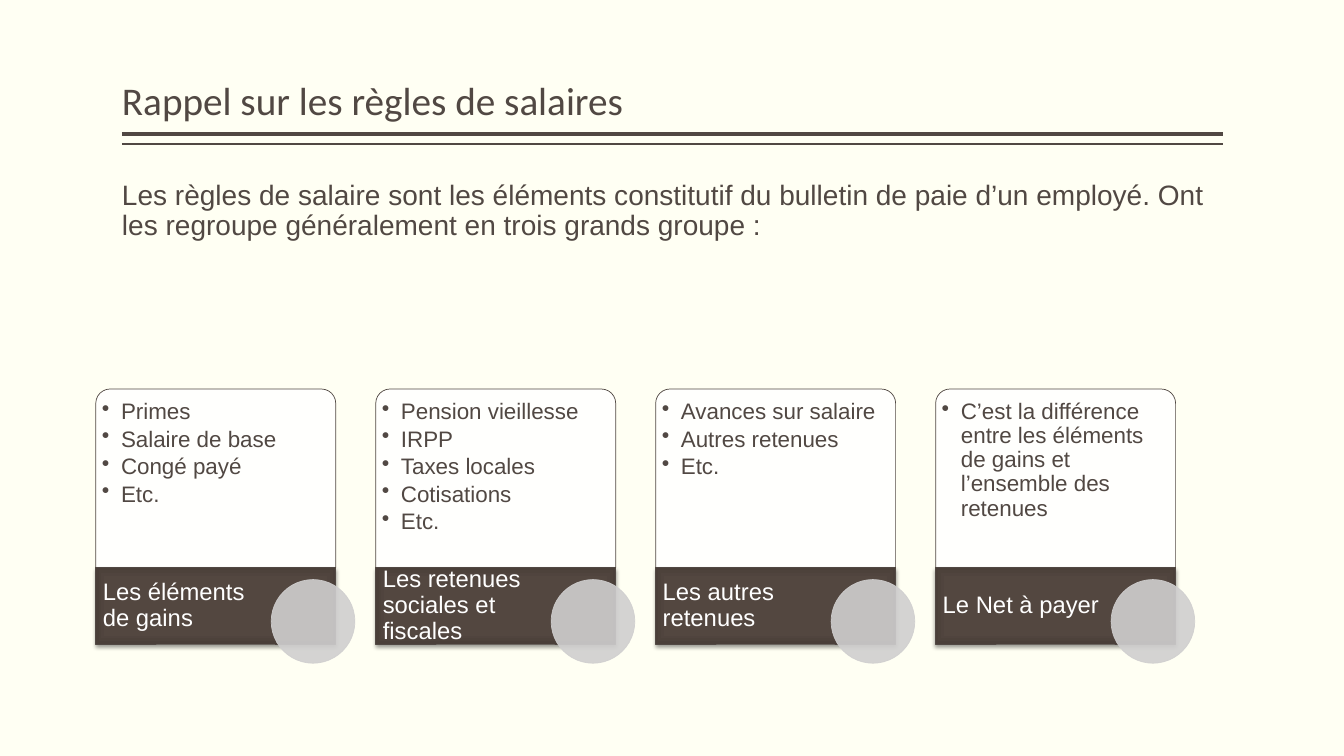
from lxml import etree
from pptx import Presentation
from pptx.dml.color import RGBColor
from pptx.enum.shapes import MSO_CONNECTOR, MSO_SHAPE
from pptx.enum.text import MSO_ANCHOR
from pptx.oxml import parse_xml
from pptx.oxml.ns import nsdecls, qn
from pptx.util import Inches, Pt

STRAIGHT = MSO_CONNECTOR.STRAIGHT
ROUNDED_TOP = MSO_SHAPE.ROUND_2_SAME_RECTANGLE
RECTANGLE = MSO_SHAPE.RECTANGLE
OVAL = MSO_SHAPE.OVAL
TOP, MIDDLE, BOTTOM = MSO_ANCHOR.TOP, MSO_ANCHOR.MIDDLE, MSO_ANCHOR.BOTTOM

CREAM = RGBColor(0xFF, 0xFF, 0xF3)
BROWN = RGBColor(0x51, 0x48, 0x43)
WHITE = RGBColor(0xFF, 0xFF, 0xFF)
GREY = RGBColor(0xD0, 0xCF, 0xCF)
BAND_STOPS = [(0, "544740"), (71, "534740"), (100, "4A3F39")]

MARGIN, CONTENT_WIDTH = 1.21, 10.92
FIRST_CARD, LAST_CARD, CARD_WIDTH = 0.95, 9.28, 2.38
CARD_TOP, CARD_HEIGHT, BAND_HEIGHT = 3.86, 1.77, 0.76

SALARY_GROUPS = [
    ("Les éléments de gains", ["Primes", "Salaire de base", "Congé payé", "Etc."]),
    ("Les retenues sociales et fiscales",
     ["Pension vieillesse", "IRPP", "Taxes locales", "Cotisations", "Etc."]),
    ("Les autres retenues", ["Avances sur salaire", "Autres retenues", "Etc."]),
    ("Le Net à payer",
     ["C’est la différence entre les éléments de gains et l’ensemble des retenues"]),
]


class SlideBuilder:
    def __init__(self, slide, color=BROWN, font="Arial"):
        self.slide, self.color, self.font = slide, color, font
        slide.background.fill.solid()
        slide.background.fill.fore_color.rgb = CREAM

    def rule(self, y, weight):
        line = self.slide.shapes.add_connector(
            STRAIGHT, Inches(MARGIN), Inches(y), Inches(MARGIN + CONTENT_WIDTH), Inches(y))
        line.line.color.rgb = self.color
        line.line.width = Pt(weight)
        etree.SubElement(line._element.spPr, qn("a:effectLst"))

    def text(self, box, paragraphs, size, insets, anchor=TOP, color=None, font=None,
             bullets=False):
        frame = self.slide.shapes.add_textbox(*map(Inches, box)).text_frame
        frame.word_wrap = True
        frame.vertical_anchor = anchor
        (frame.margin_left, frame.margin_top,
         frame.margin_right, frame.margin_bottom) = map(Inches, insets)
        for index, wording in enumerate(paragraphs):
            paragraph = frame.add_paragraph() if index else frame.paragraphs[0]
            paragraph.line_spacing = 0.9
            if bullets:
                self.bullet(paragraph)
            run = paragraph.add_run()
            run.text = wording
            run.font.size = Pt(size)
            run.font.name = font or self.font
            run.font.color.rgb = color or self.color

    def bullet(self, paragraph):
        paragraph.space_after = Pt(2.4)
        properties = paragraph._p.get_or_add_pPr()
        properties.set("marL", str(Inches(0.19)))
        properties.set("indent", str(-Inches(0.19)))
        etree.SubElement(properties, qn("a:buChar")).set("char", "•")

    def shape(self, kind, box, fill, line, fill_alpha=100, line_alpha=100):
        """Add a preset shape; alphas are opacity percentages."""
        shape = self.slide.shapes.add_shape(kind, *map(Inches, box))
        shape.shadow.inherit = False
        shape.fill.solid()
        shape.fill.fore_color.rgb = fill
        shape.line.color.rgb = line
        shape.line.width = Pt(0.5)
        properties = shape._element.spPr
        for parent, alpha in ((properties, fill_alpha), (properties.find(qn("a:ln")), line_alpha)):
            if alpha < 100:
                color = parent.find(qn("a:solidFill")).find(qn("a:srgbClr"))
                etree.SubElement(color, qn("a:alpha")).set("val", str(alpha * 1000))
        return shape

    def band(self, box):
        """Add a title band with a centred gradient and a soft shadow."""
        properties = self.shape(RECTANGLE, box, BROWN, BROWN)._element.spPr
        stops = "".join(f'<a:gs pos="{pos * 1000}"><a:srgbClr val="{color}"/></a:gs>'
                        for pos, color in BAND_STOPS)
        gradient = parse_xml(
            f'<a:gradFill {nsdecls("a")} rotWithShape="1"><a:gsLst>{stops}</a:gsLst>'
            '<a:path path="rect"><a:fillToRect l="50000" t="50000" r="50000" b="50000"/>'
            '</a:path></a:gradFill>')
        properties.replace(properties.find(qn("a:solidFill")), gradient)
        shadow = parse_xml(
            f'<a:outerShdw {nsdecls("a")} blurRad="{Pt(3.1)}" dist="{Pt(2)}" dir="5400000" '
            'rotWithShape="0"><a:srgbClr val="000000"><a:alpha val="38000"/></a:srgbClr>'
            '</a:outerShdw>')
        properties.find(qn("a:effectLst")).append(shadow)

    def card(self, left, heading, items):
        band_top = CARD_TOP + CARD_HEIGHT
        panel = self.shape(ROUNDED_TOP, (left, CARD_TOP, CARD_WIDTH, CARD_HEIGHT),
                           WHITE, BROWN, fill_alpha=90)
        panel.adjustments[0] = 0.08
        panel.adjustments[1] = 0
        self.text((left + 0.04, CARD_TOP + 0.04, 2.29, 1.73), items, 16,
                  (0.02, 0.07, 0.02, 0.02), bullets=True)
        self.band((left, band_top, CARD_WIDTH, BAND_HEIGHT))
        self.text((left, band_top, 1.67, BAND_HEIGHT), [heading], 17,
                  (0.07, 0, 0.02, 0), MIDDLE, WHITE)
        self.shape(OVAL, (left + 1.74, band_top + 0.12, 0.83, 0.83), GREY, GREY, 90, 90)


def main():
    presentation = Presentation()
    presentation.slide_width = Inches(13.33)
    presentation.slide_height = Inches(7.5)
    builder = SlideBuilder(presentation.slides.add_slide(presentation.slide_layouts[6]))
    builder.rule(1.33, 3)
    builder.rule(1.43, 1)
    insets = (0, 0.05, 0, 0.05)
    builder.text((MARGIN, 0.08, CONTENT_WIDTH, 1.2), ["Rappel sur les règles de salaires"],
                 28, insets, BOTTOM, font="Calibri")
    builder.text((MARGIN, 1.75, CONTENT_WIDTH, 0.74),
                 ["Les règles de salaire sont les éléments constitutif du bulletin de paie "
                  "d’un employé. Ont les regroupe généralement en trois grands groupe :"],
                 20, insets)
    pitch = (LAST_CARD - FIRST_CARD) / (len(SALARY_GROUPS) - 1)
    for index, (heading, items) in enumerate(SALARY_GROUPS):
        builder.card(FIRST_CARD + index * pitch, heading, items)
    presentation.save("out.pptx")


if __name__ == "__main__":
    main()
